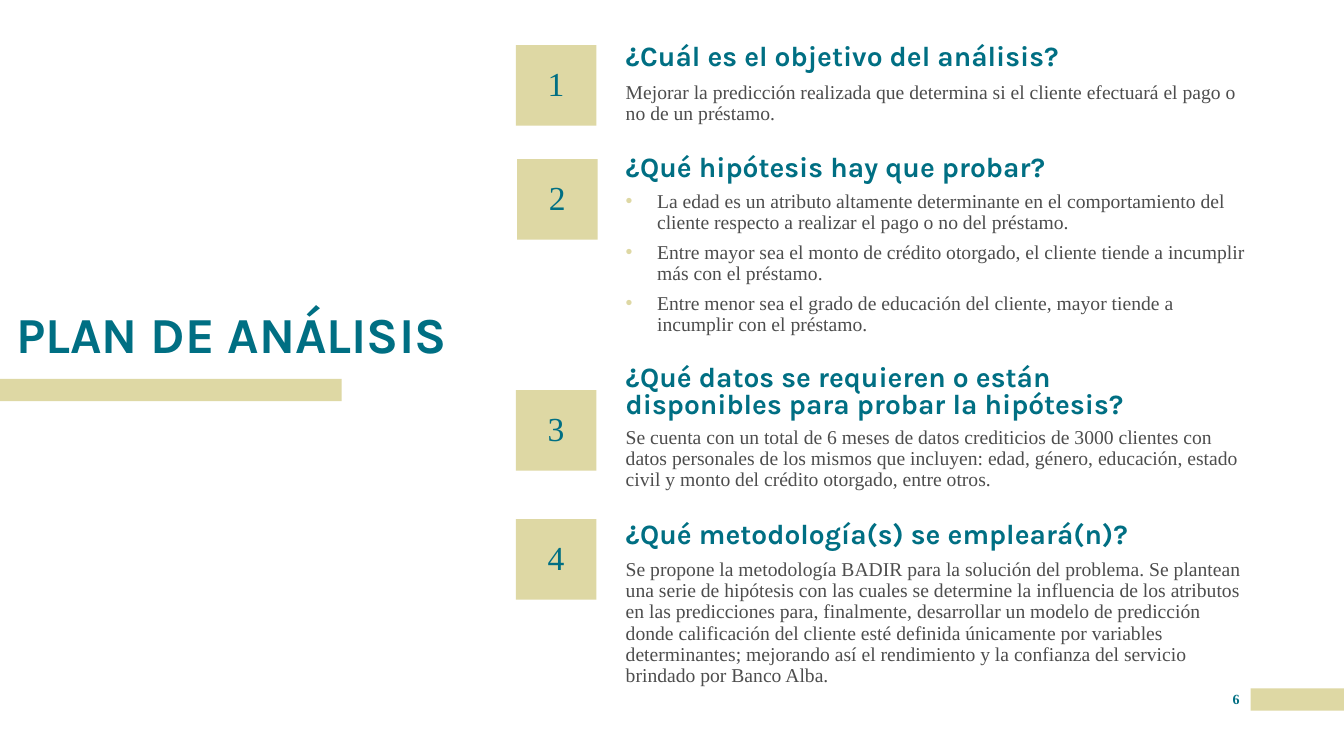
import pptx
import pptx.util
import pptx.dml.color
import pptx.enum.shapes
import pptx.enum.text
import pptx.oxml
import pptx.oxml.ns
from pptx.util import Cm

SAND, TEAL, GRAY = "DED8A4", "006F83", "4D4D4D"
HEADING_FONT, BODY_FONT = "Karla", "Times New Roman"
ALIGN = pptx.enum.text.PP_ALIGN
ANCHOR = pptx.enum.text.MSO_ANCHOR

presentation = pptx.Presentation()
presentation.slide_width, presentation.slide_height = Cm(33.87), Cm(19.05)
slide = presentation.slides.add_slide(presentation.slide_layouts[6])


def add_block(left, top, width, height, fill=SAND):
    """Add a borderless rectangle."""
    shape = slide.shapes.add_shape(
        pptx.enum.shapes.MSO_SHAPE.RECTANGLE, Cm(left), Cm(top), Cm(width), Cm(height))
    shape.shadow.inherit = False
    shape.fill.solid()
    shape.fill.fore_color.rgb = pptx.dml.color.RGBColor.from_string(fill)
    shape.line.fill.background()
    return shape


def write(shape, text, font, size, color, bold=False, anchor=ANCHOR.TOP,
          align=ALIGN.LEFT, spacing=0.9, bullets=False):
    """Fill a shape with text, one paragraph per line."""
    frame = shape.text_frame
    frame.word_wrap = True
    frame.margin_left = frame.margin_right = frame.margin_top = frame.margin_bottom = 0
    frame.vertical_anchor = anchor
    frame.text = text
    for index, paragraph in enumerate(frame.paragraphs):
        paragraph.alignment = align
        paragraph.line_spacing = spacing
        if index:
            paragraph.space_before = pptx.util.Pt(6)
        if bullets:
            properties = paragraph._p.get_or_add_pPr()
            properties.set("marL", str(Cm(0.79)))
            properties.set("indent", str(-Cm(0.79)))
            namespace = pptx.oxml.ns.nsdecls("a")
            for xml in (f'<a:buClr {namespace}><a:srgbClr val="{SAND}"/></a:buClr>',
                        f'<a:buFont {namespace} typeface="Arial"/>',
                        f'<a:buChar {namespace} char="•"/>'):
                properties.append(pptx.oxml.parse_xml(xml))
        for run in paragraph.runs:
            run.font.name = font
            run.font.size = pptx.util.Pt(size)
            run.font.bold = bold
            run.font.color.rgb = pptx.dml.color.RGBColor.from_string(color)


add_block(31.52, 17.35, 2.35, 0.56)
add_block(0, 9.55, 8.61, 0.56)

title = slide.shapes.add_textbox(Cm(0.41), Cm(5.51), Cm(12.29), Cm(3.68))
write(title, "PLAN DE ANÁLISIS", HEADING_FONT, 36, TEAL, bold=True, anchor=ANCHOR.BOTTOM)

# square left and top, heading top and line spacing, body top and height, texts
sections = [
    (13, 1.14, 0.33, 0.9, 2.08, 1.07, "¿Cuál es el objetivo del análisis?",
     "Mejorar la predicción realizada que determina si el cliente efectuará el pago o no "
     "de un préstamo."),
    (13.03, 4.01, 3.12, 0.9, 4.83, 4.98, "¿Qué hipótesis hay que probar?",
     "La edad es un atributo altamente determinante en el comportamiento del cliente "
     "respecto a realizar el pago o no del préstamo.\n"
     "Entre mayor sea el monto de crédito otorgado, el cliente tiende a incumplir más con "
     "el préstamo.\n"
     "Entre menor sea el grado de educación del cliente, mayor tiende a incumplir con el "
     "préstamo."),
    (13, 9.83, 9.09, 0.8, 10.77, 1.78,
     "¿Qué datos se requieren o están disponibles para probar la hipótesis?",
     "Se cuenta con un total de 6 meses de datos crediticios de 3000 clientes con datos "
     "personales de los mismos que incluyen: edad, género, educación, estado civil y monto "
     "del crédito otorgado, entre otros."),
    (13, 13.08, 12.37, 0.9, 14.1, 3.73, "¿Qué metodología(s) se empleará(n)?",
     "Se propone la metodología BADIR para la solución del problema. Se plantean una serie "
     "de hipótesis con las cuales se determine la influencia de los atributos en las "
     "predicciones para, finalmente, desarrollar un modelo de predicción donde calificación "
     "del cliente esté definida únicamente por variables determinantes; mejorando así el "
     "rendimiento y la confianza del servicio brindado por Banco Alba."),
]
for number, section in enumerate(sections, 1):
    (square_left, square_top, heading_top, heading_spacing,
     body_top, body_height, question, answer) = section
    heading = slide.shapes.add_textbox(Cm(15.77), Cm(heading_top), Cm(13.77), Cm(1.5))
    write(heading, question, HEADING_FONT, 20, TEAL, bold=True,
          anchor=ANCHOR.BOTTOM, spacing=heading_spacing)
    body = slide.shapes.add_textbox(Cm(15.77), Cm(body_top), Cm(15.77), Cm(body_height))
    write(body, answer, BODY_FONT, 14, GRAY, bullets="\n" in answer)
    square = add_block(square_left, square_top, 2.03, 2.03)
    write(square, str(number), BODY_FONT, 24, TEAL, anchor=ANCHOR.MIDDLE, align=ALIGN.CENTER)

page_number = slide.shapes.add_textbox(Cm(30.78), Cm(17.4), Cm(0.74), Cm(0.64))
write(page_number, "6", BODY_FONT, 10, TEAL, bold=True, align=ALIGN.CENTER, spacing=1.0)

presentation.save("out.pptx")
